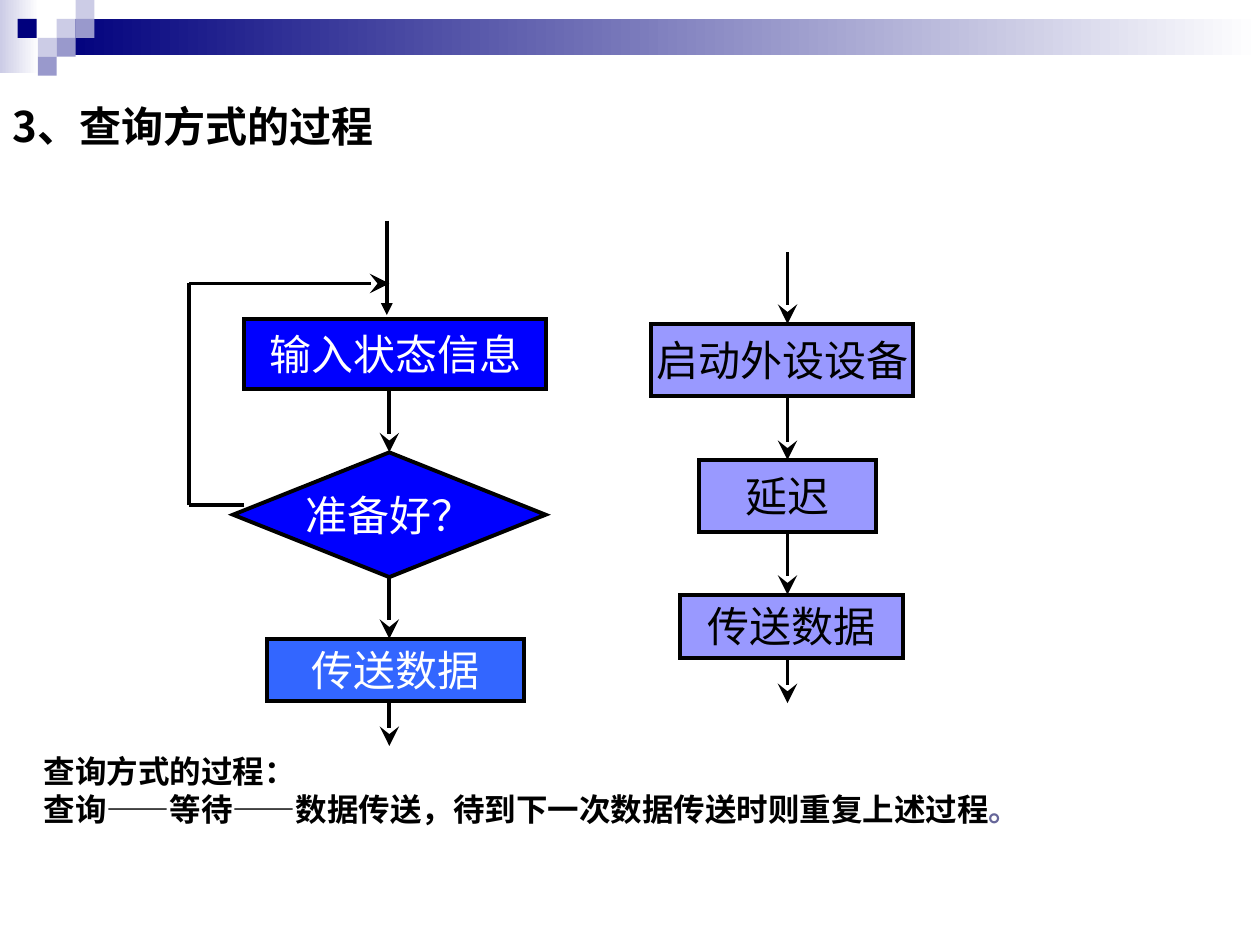
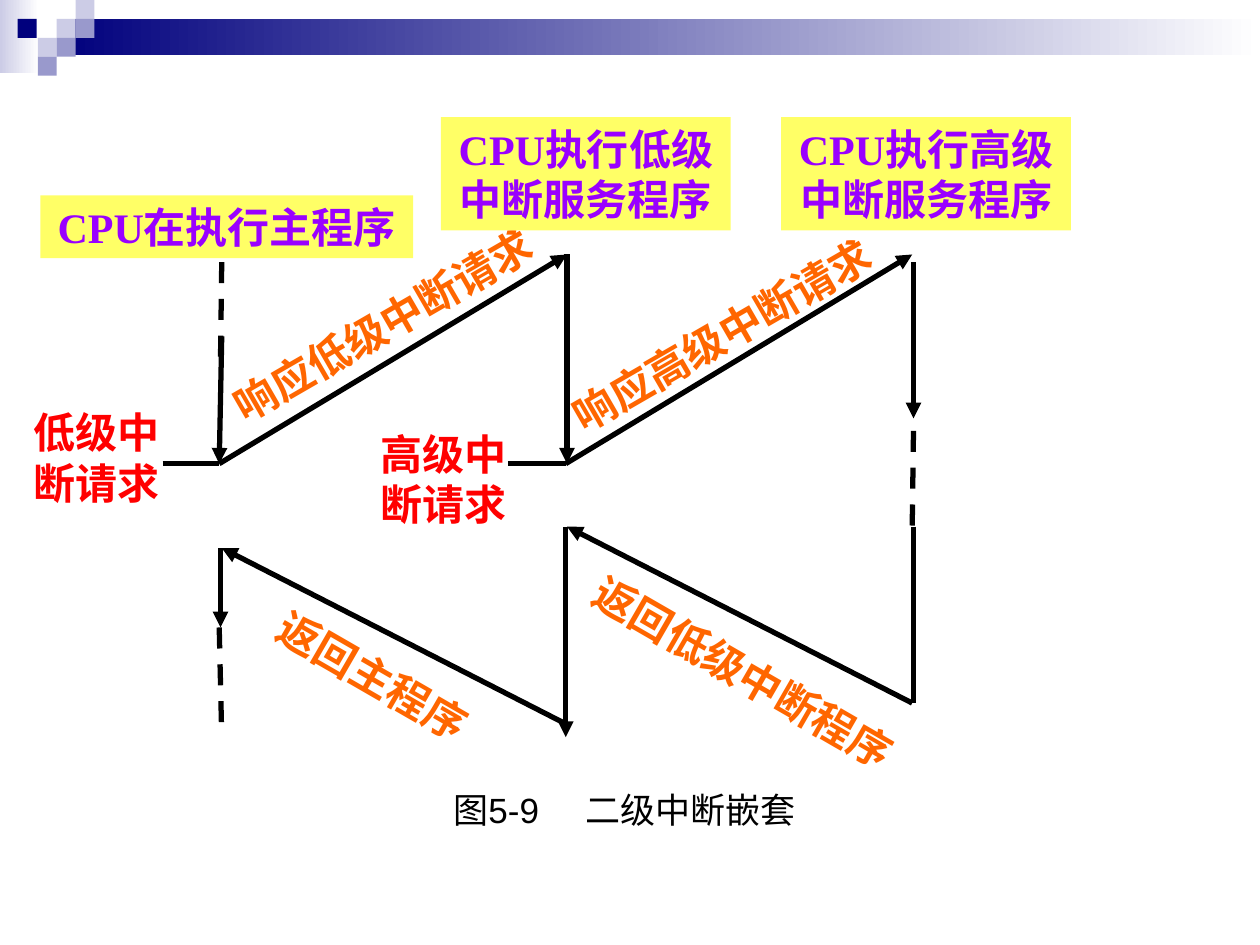
from lxml.etree import SubElement
from pptx import Presentation
from pptx.dml.color import RGBColor
from pptx.enum.dml import MSO_LINE
from pptx.enum.shapes import MSO_CONNECTOR, MSO_SHAPE
from pptx.enum.text import MSO_ANCHOR, PP_ALIGN
from pptx.oxml.ns import qn
from pptx.util import Inches, Pt

COLORS = {
    "black": "000000", "white": "FFFFFF", "navy": "00007D", "pale": "CCCCE6",
    "lilac": "9999CC", "blue": "0000FF", "sky": "3366FF", "violet": "9999FF",
    "slate": "666699", "yellow": "FFFF66", "purple": "9900FF", "red": "FF0000",
    "orange": "FF6600",
}
SERIF, SANS, CJK = "Times New Roman", "Arial", "Noto Sans CJK SC"
TOP, BOTTOM = 0, 2  # connection sites

# Header shared by both slides: gradients, then pixel tiles
HEADER_FADES = [((0, 0, 0.31, 0.58), "pale"), ((0.45, 0.15, 9.55, 0.29), "navy")]
TILE = 0.15
HEADER_TILES = [
    (0.45, 0.15, "pale"), (0.6, 0, "pale"), (0.6, 0.15, "lilac"),
    (0.3, 0.3, "pale"), (0.14, 0.15, "navy"), (0.45, 0.3, "lilac"),
    (0.3, 0.45, "lilac"),
]

# Slide 1: polling flowcharts
POLLING_TITLE = "3、查询方式的过程"
FLOW_STEPS = {
    "input": ("输入状态信息", (1.94, 2.53, 2.39, 0.56), "blue", "white"),
    "ready": ("准备好？", (1.85, 3.59, 2.48, 0.99), "blue", "white"),
    "send": ("传送数据", (2.12, 5.07, 2.04, 0.49), "sky", "white"),
    "start": ("启动外设设备", (5.17, 2.57, 2.08, 0.57), "violet", "black"),
    "delay": ("延迟", (5.55, 3.65, 1.4, 0.57), "violet", "black"),
    "send after delay": ("传送数据", (5.4, 4.72, 1.77, 0.5), "violet", "black"),
}
# x of the column, (from y, to y, step joined at start, step joined at end)
FLOW_COLUMNS = [
    (3.09, [(3.09, 3.59, None, "ready"), (4.58, 5.07, "ready", None),
            (5.56, 5.92, None, None)]),
    (6.25, [(2, 2.57, None, None), (3.15, 3.65, None, "delay"),
            (4.22, 4.72, "delay", None), (5.22, 5.58, None, None)]),
]
RETRY_LOOP = [(1.94, 4.01), (1.5, 4.01), (1.5, 2.25), (3.09, 2.25)]
POLLING_ENTRY = ((3.07, 1.75), (3.07, 2.5))
POLLING_SUMMARY = [
    "查询方式的过程：",
    [("查询——等待——数据传送，待到下一次数据传送时则重复上述过程", "black"),
     ("。", "slate")],
]

# Slide 2: nested interrupts
NESTING_CAPTION = "图5-9\t二级中断嵌套"
CAPTION_TAB = 1.05
PROGRAMS = [
    (["CPU在执行主程序"], (0.32, 1.55, 2.96, 0.5)),
    (["CPU执行低级", "中断服务程序"], (3.5, 0.93, 2.3, 0.9)),
    (["CPU执行高级", "中断服务程序"], (6.2, 0.93, 2.3, 0.9)),
]
REQUESTS = [
    (["低级中", "断请求"], (0.17, 3.18, 1.2, 0.9)),
    (["高级中", "断请求"], (2.92, 3.35, 1.2, 0.9)),
]
TRANSFERS = [
    ("响应低级中断请求", (1.54, 2.33, 3, 0.5), -30),
    ("响应高级中断请求", (4.23, 2.41, 3, 0.5), -30),
    ("返回低级中断程序", (4.4, 5.08, 3, 0.5), 30),
    ("返回主程序", (1.96, 5.11, 2, 0.5), 30),
]
ARROWS = [
    ((1.76, 2.67), (1.74, 3.68)), ((1.74, 3.68), (4.5, 2.02)),
    ((4.5, 2.02), (4.5, 3.68)), ((4.49, 3.68), (7.24, 2.02)),
    ((7.25, 2.08), (7.25, 3.32)), ((7.24, 5.58), (4.5, 4.18)),
    ((4.49, 4.18), (4.49, 5.85)), ((4.5, 5.75), (1.76, 4.35)),
    ((1.75, 4.35), (1.75, 4.98)),
]
PLAIN_LINES = [
    ((1.29, 3.68), (1.74, 3.68)), ((4.03, 3.68), (4.49, 3.68)),
    ((7.25, 4.18), (7.25, 5.58)),
]
DASHED_LINES = [
    ((1.76, 2.08), (1.75, 2.85)), ((7.25, 3.42), (7.24, 4.18)),
    ((1.74, 4.98), (1.76, 5.85)),
]


def rgb(name):
    return RGBColor.from_string(COLORS[name])


def write(shape, paragraphs, *, size=24, font=SERIF, color="black", bold=False,
          align=PP_ALIGN.CENTER, anchor=MSO_ANCHOR.MIDDLE, wrap=False, tab=None):
    """Each paragraph is a string or a list of (text, color) runs."""
    frame = shape.text_frame
    frame.word_wrap = wrap
    frame.vertical_anchor = anchor
    for index, content in enumerate(paragraphs):
        paragraph = frame.add_paragraph() if index else frame.paragraphs[0]
        paragraph.alignment = align
        if tab:
            stops = SubElement(paragraph._element.find(qn("a:pPr")), qn("a:tabLst"))
            SubElement(stops, qn("a:tab"), pos=str(Inches(tab)), algn="l")
        runs = [(content, color)] if isinstance(content, str) else content
        for text, run_color in runs:
            run = paragraph.add_run()
            run.text = text
            run.font.size = Pt(size)
            run.font.name = font
            run.font.bold = bold
            run.font.color.rgb = rgb(run_color)
            SubElement(run.font._element, qn("a:ea"), typeface=CJK)


def add_text(slide, box, paragraphs, rotation=0, **text_format):
    shape = slide.shapes.add_textbox(*map(Inches, box))
    shape.rotation = rotation
    write(shape, paragraphs, **text_format)


def add_box(slide, box, fill, kind=MSO_SHAPE.RECTANGLE, outlined=False, fade=False):
    shape = slide.shapes.add_shape(kind, *map(Inches, box))
    shape.shadow.inherit = False
    if fade:
        shape.fill.gradient()
        shape.fill.gradient_angle = 0
        for stop, name in zip(shape.fill.gradient_stops, (fill, "white")):
            stop.color.rgb = rgb(name)
    else:
        shape.fill.solid()
        shape.fill.fore_color.rgb = rgb(fill)
    if outlined:
        shape.line.color.rgb = rgb("black")
        shape.line.width = Pt(2.25)
        outline = shape._element.spPr.find(qn("a:ln"))
        SubElement(outline, qn("a:miter"), lim="800000")
    else:
        shape.line.fill.background()
    return shape


def add_line(slide, start, end, width=3, arrow=None, arrow_size="med", dashed=False):
    connector = slide.shapes.add_connector(
        MSO_CONNECTOR.STRAIGHT, *map(Inches, start + end))
    connector.line.color.rgb = rgb("black")
    connector.line.width = Pt(width)
    if dashed:
        connector.line.dash_style = MSO_LINE.DASH
    properties = connector._element.spPr
    if arrow:
        SubElement(properties.find(qn("a:ln")), qn("a:tailEnd"),
                   type=arrow, w=arrow_size, len=arrow_size)
    SubElement(properties, qn("a:effectLst"))
    return connector


def add_slide(presentation):
    slide = presentation.slides.add_slide(presentation.slide_layouts[6])
    for box, color in HEADER_FADES:
        add_box(slide, box, color, fade=True)
    for left, top, color in HEADER_TILES:
        add_box(slide, (left, top, TILE, TILE), color)
    return slide


def build_polling(presentation):
    slide = add_slide(presentation)
    add_text(slide, (0, 0.66, 9, 0.67), [POLLING_TITLE], font=CJK, bold=True,
             align=PP_ALIGN.LEFT, wrap=True)

    # Steps
    steps = {}
    for name, (text, box, fill, color) in FLOW_STEPS.items():
        kind = MSO_SHAPE.DIAMOND if name == "ready" else MSO_SHAPE.RECTANGLE
        steps[name] = add_box(slide, box, fill, kind, outlined=True)
        write(steps[name], [text], color=color)

    # Arrows down each column
    for x, arrows in FLOW_COLUMNS:
        for top, bottom, source, target in arrows:
            connector = add_line(slide, (x, top), (x, bottom), 2.25, "stealth", "lg")
            if source:
                connector.begin_connect(steps[source], BOTTOM)
            if target:
                connector.end_connect(steps[target], TOP)

    # Retry loop and entry
    for start, end in zip(RETRY_LOOP, RETRY_LOOP[1:]):
        arrow = "stealth" if end == RETRY_LOOP[-1] else None
        add_line(slide, start, end, 2.25, arrow, "lg")
    add_line(slide, *POLLING_ENTRY, 2.25, "triangle")

    add_text(slide, (0.25, 5.92, 9.75, 0.7), POLLING_SUMMARY, size=18, font=SANS,
             bold=True, align=PP_ALIGN.LEFT, anchor=MSO_ANCHOR.TOP, wrap=True)


def build_nesting(presentation):
    slide = add_slide(presentation)
    add_text(slide, (3.5, 6, 3.08, 0.85), [NESTING_CAPTION], size=20, font=SANS,
             align=PP_ALIGN.LEFT, wrap=True, tab=CAPTION_TAB)

    # Labels
    for text, box, rotation in TRANSFERS:
        add_text(slide, box, [text], rotation, color="orange", bold=True)
    for lines, box in REQUESTS:
        add_text(slide, box, lines, color="red", bold=True)
    for lines, box in PROGRAMS:
        write(add_box(slide, box, "yellow"), lines, color="purple", bold=True)

    # Control flow
    for start, end in ARROWS:
        add_line(slide, start, end, arrow="triangle")
    for start, end in PLAIN_LINES:
        add_line(slide, start, end)
    for start, end in DASHED_LINES:
        add_line(slide, start, end, dashed=True)


def main():
    presentation = Presentation()
    presentation.slide_width = Inches(10)
    presentation.slide_height = Inches(7.5)
    build_polling(presentation)
    build_nesting(presentation)
    presentation.save("out.pptx")


if __name__ == "__main__":
    main()
